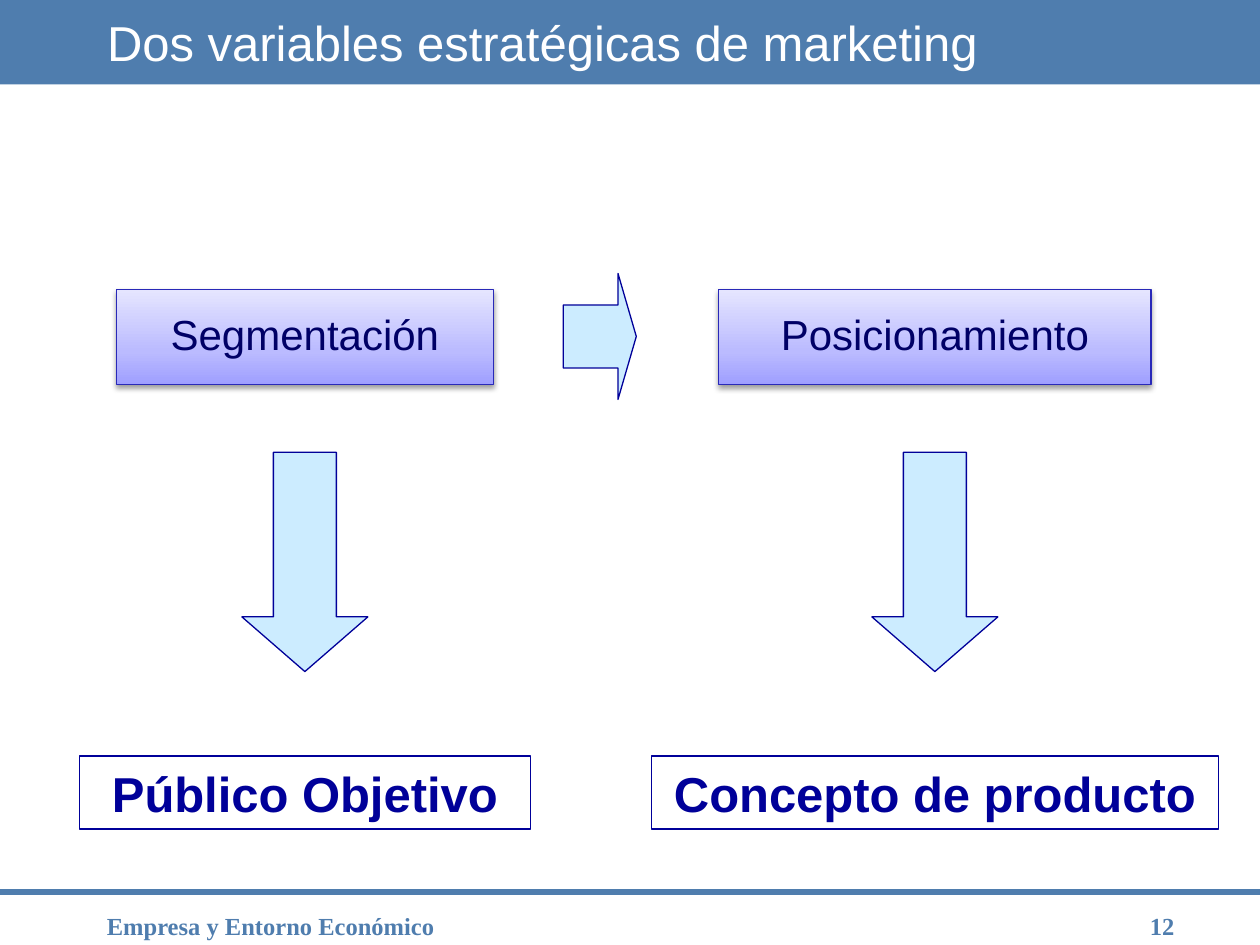
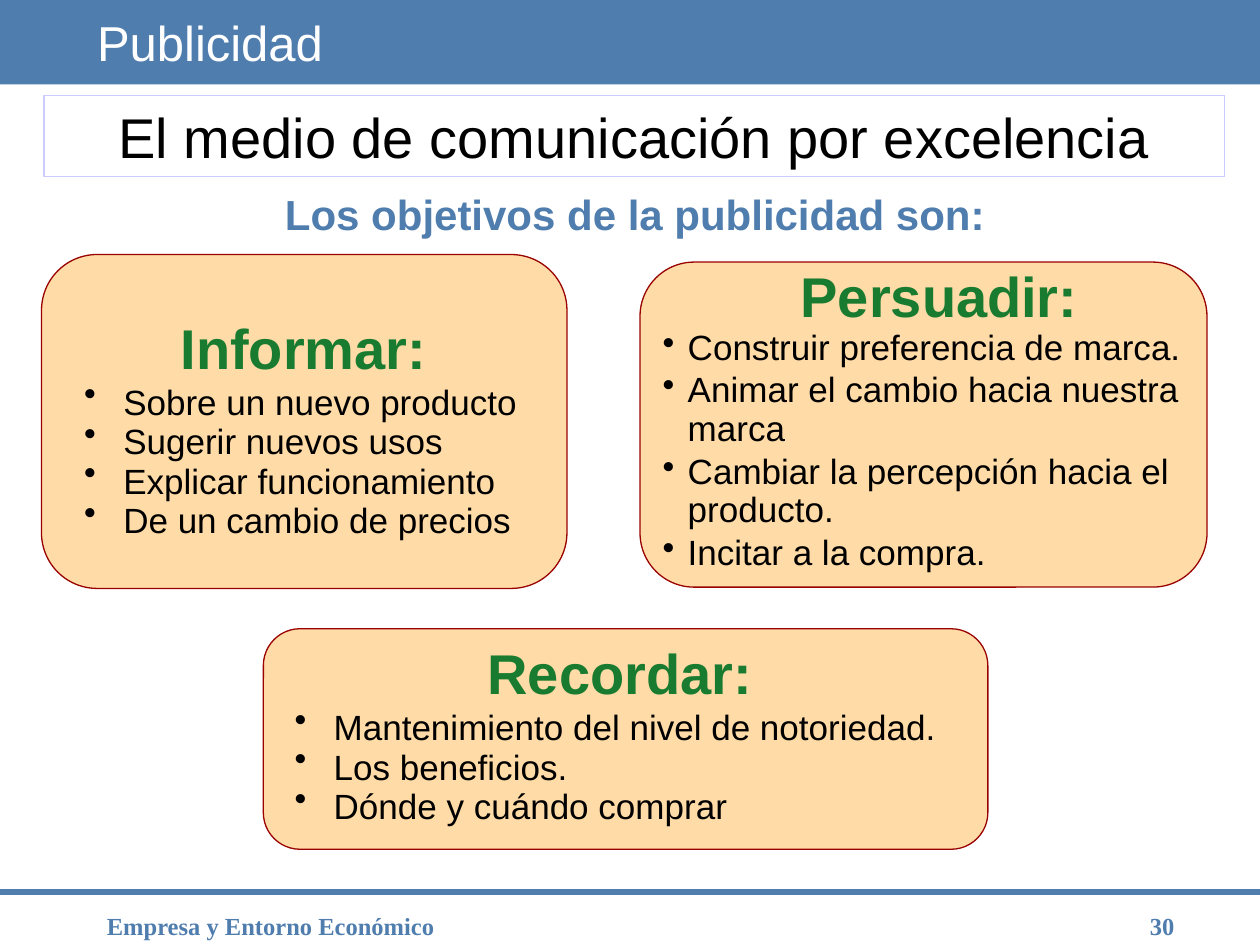
import copy
from dataclasses import dataclass

import pptx
from pptx.dml.color import RGBColor
from pptx.enum.shapes import MSO_CONNECTOR, MSO_SHAPE
from pptx.enum.text import MSO_ANCHOR, MSO_AUTO_SIZE, PP_ALIGN
from pptx.oxml import parse_xml
from pptx.oxml.ns import nsdecls, qn
from pptx.util import Inches, Pt


@dataclass(frozen=True)
class Theme:
    sans: str = "Arial"
    serif: str = "Times New Roman"
    band: str = "4F7DAE"
    white: str = "FFFFFF"
    black: str = "000000"
    navy: str = "000099"
    dark_navy: str = "000066"
    arrow: str = "CCECFF"
    strategy_line: str = "2929B8"
    gradient: tuple = ((0, "9F9FFF"), (0.35, "BBBBFF"), (1, "E5E5FF"))
    panel: str = "FFDBA7"
    panel_line: str = "990000"
    pale_line: str = "CCCCFF"
    green: str = "197B30"
    footer_size: int = 14
    list_size: int = 20
    label_size: int = 24
    title_size: int = 28
    heading_size: int = 32


THEME = Theme()

# Content
FOOTER = "Empresa y Entorno Económico"

VARIABLES = {"title": "Dos variables estratégicas de marketing", "number": 12, "title_left": 0.75}
# Each column: centre, (strategy, width), (outcome, width)
COLUMNS = [
    (2.42, ("Segmentación", 2.99), ("Público Objetivo", 3.58)),
    (7.42, ("Posicionamiento", 3.43), ("Concepto de producto", 4.5)),
]

ADVERTISING = {"title": "Publicidad", "number": 30, "title_left": 0.67}
SLOGAN = "El medio de comunicación por excelencia"
GOALS_INTRO = "Los objetivos de la publicidad son:"
TIGHT = {"heading_spacing": 0.8, "spacing": 0.5, "before": 10.6, "indent": 0.31}
LOOSE = {"heading_spacing": 0.6, "spacing": 0.92, "before": 2.3, "indent": 0.2}
GOALS = [
    {"heading": "Informar:", "panel": (0.33, 2.02, 4.17, 2.65),
     "text": (0.57, 2.5, 3.68, 1.86), "format": TIGHT,
     "items": ["Sobre un nuevo producto", "Sugerir nuevos usos",
               "Explicar funcionamiento", "De un cambio de precios"]},
    {"heading": "Persuadir:", "panel": (5.08, 2.08, 4.5, 2.58),
     "text": (5.16, 2.23, 4.59, 2.35), "format": LOOSE,
     "items": ["Construir preferencia de marca.",
               "Animar el cambio hacia nuestra marca",
               "Cambiar la percepción hacia el producto.",
               "Incitar a la compra."]},
    {"heading": "Recordar:", "panel": (2.09, 4.99, 5.75, 1.75),
     "text": (2.24, 5.09, 5.36, 1.53), "format": TIGHT,
     "items": ["Mantenimiento del nivel de notoriedad.", "Los beneficios.",
               "Dónde y cuándo comprar"]},
]


# Text helpers
def set_all(target, values):
    for name, value in values.items():
        setattr(target, name, value)


def write(para, text, size, color, bold=False, face=THEME.sans,
          bullet_indent=None, **layout):
    """Fill one paragraph with a single formatted span."""
    properties = para._p.get_or_add_pPr()
    indent = Inches(bullet_indent or 0)
    properties.set("marL", str(indent))
    properties.set("indent", str(-indent))
    mark = "a:buNone" if bullet_indent is None else 'a:buChar char="•"'
    properties.append(parse_xml(f"<{mark} {nsdecls('a')}/>"))
    set_all(para, {"alignment": PP_ALIGN.LEFT, "space_before": Pt(0), **layout})
    span = para.add_run()
    span.text = text
    set_all(span.font, {"name": face, "size": Pt(size), "bold": bold})
    span.font.color.rgb = RGBColor.from_string(color)


def prepare(box, anchor=MSO_ANCHOR.MIDDLE):
    frame = box.text_frame
    set_all(frame, {"word_wrap": True, "auto_size": MSO_AUTO_SIZE.NONE,
                    "vertical_anchor": anchor,
                    "margin_left": Inches(0.1), "margin_right": Inches(0.1),
                    "margin_top": Inches(0.05), "margin_bottom": Inches(0.05)})
    return frame


def place(box, *area):
    set_all(box, dict(zip(("left", "top", "width", "height"), map(Inches, area))))


def add_text(page, area):
    return prepare(page.shapes.add_textbox(*map(Inches, area)))


# Shape helpers
def add_box(page, kind, area, fill=None, line=None):
    box = page.shapes.add_shape(kind, *map(Inches, area))
    box.shadow.inherit = False
    if fill:
        box.fill.solid()
        box.fill.fore_color.rgb = RGBColor.from_string(fill)
    else:
        box.fill.background()
    if line:
        box.line.color.rgb = RGBColor.from_string(line)
        box.line.width = Pt(0.75)
    else:
        box.line.fill.background()
    return box


def add_arrow(page, area, head, rotation=0):
    arrow = add_box(page, MSO_SHAPE.DOWN_ARROW, area, THEME.arrow, THEME.navy)
    arrow.adjustments[0] = 0.5
    arrow.adjustments[1] = head
    arrow.rotation = rotation


def add_glow(box):
    """Give a box the three-stop gradient and a soft shadow below it."""
    box.fill.gradient()
    box.fill.gradient_angle = 90
    stops = box.element.spPr.find(".//" + qn("a:gsLst"))
    stops.append(copy.deepcopy(stops[0]))
    for stop, (position, color) in zip(box.fill.gradient_stops, THEME.gradient):
        stop.position = position
        stop.color.rgb = RGBColor.from_string(color)
    box.element.spPr.find(qn("a:effectLst")).append(parse_xml(
        f'<a:outerShdw {nsdecls("a")} blurRad="{Pt(3.1)}" dist="{Pt(1.6)}" '
        'dir="5400000" rotWithShape="0"><a:srgbClr val="000000">'
        '<a:alpha val="38000"/></a:srgbClr></a:outerShdw>'))


# Shared band, title and footer
def add_page(deck, layout, content):
    page = deck.slides.add_slide(deck.slide_layouts[layout])
    add_box(page, MSO_SHAPE.RECTANGLE, (0, 0, 10, 0.67), THEME.band)
    rule = page.shapes.add_connector(MSO_CONNECTOR.STRAIGHT, 0, Inches(7.08),
                                     Inches(10), Inches(7.08))
    rule.line.color.rgb = RGBColor.from_string(THEME.band)
    rule.line.width = Pt(3)
    rule.element.spPr.append(parse_xml(f"<a:effectLst {nsdecls('a')}/>"))
    for text, left, width, alignment in (
            (FOOTER, 0.75, 4.67, PP_ALIGN.LEFT),
            (str(content["number"]), 8.67, 0.75, PP_ALIGN.RIGHT)):
        frame = add_text(page, (left, 7.17, width, 0.35))
        write(frame.paragraphs[0], text, THEME.footer_size, THEME.band,
              bold=True, face=THEME.serif, alignment=alignment)

    title = page.shapes.title
    place(title, content["title_left"], 0, 8.5, 0.67)
    write(prepare(title).paragraphs[0], content["title"],
          THEME.title_size, THEME.white)
    page.shapes.element.append(title.element)  # bring in front of the band
    return page


# Strategic variables
def build_variables(deck):
    page = add_page(deck, 5, VARIABLES)
    add_arrow(page, (4.26, 2.38, 1, 0.58), head=0.25, rotation=270)
    for center, (strategy, strategy_width), (outcome, outcome_width) in COLUMNS:
        box = add_box(page, MSO_SHAPE.RECTANGLE,
                      (center - strategy_width / 2, 2.3, strategy_width, 0.75),
                      line=THEME.strategy_line)
        add_glow(box)
        write(prepare(box).paragraphs[0], strategy, THEME.label_size,
              THEME.dark_navy, alignment=PP_ALIGN.CENTER, line_spacing=0.9)
        add_arrow(page, (center - 0.5, 3.59, 1, 1.74), head=0.434)
        box = add_box(page, MSO_SHAPE.RECTANGLE,
                      (center - outcome_width / 2, 6, outcome_width, 0.58),
                      line=THEME.navy)
        write(prepare(box).paragraphs[0], outcome, THEME.title_size,
              THEME.navy, bold=True, alignment=PP_ALIGN.CENTER)


# Advertising goals
def build_advertising(deck):
    page = add_page(deck, 1, ADVERTISING)
    intro = page.placeholders[1]
    place(intro, 0.79, 1.49, 8.5, 0.52)
    write(prepare(intro, MSO_ANCHOR.TOP).paragraphs[0], GOALS_INTRO,
          THEME.label_size, THEME.band, bold=True,
          alignment=PP_ALIGN.CENTER, line_spacing=0.9)
    slogan = add_box(page, MSO_SHAPE.RECTANGLE, (0.35, 0.76, 9.37, 0.64),
                     line=THEME.pale_line)
    write(prepare(slogan).paragraphs[0], SLOGAN, THEME.heading_size,
          THEME.black, alignment=PP_ALIGN.CENTER)

    for goal in GOALS:
        add_box(page, MSO_SHAPE.ROUNDED_RECTANGLE, goal["panel"],
                THEME.panel, THEME.panel_line)
        style = goal["format"]
        frame = add_text(page, goal["text"])
        write(frame.paragraphs[0], goal["heading"], THEME.heading_size,
              THEME.green, bold=True, alignment=PP_ALIGN.CENTER,
              line_spacing=style["heading_spacing"])
        for item in goal["items"]:
            write(frame.add_paragraph(), item, THEME.list_size, THEME.black,
                  bullet_indent=style["indent"], line_spacing=style["spacing"],
                  space_before=Pt(style["before"]))


def main():
    deck = pptx.Presentation()
    deck.slide_width, deck.slide_height = Inches(10), Inches(7.5)
    build_variables(deck)
    build_advertising(deck)
    deck.save("out.pptx")


if __name__ == "__main__":
    main()
